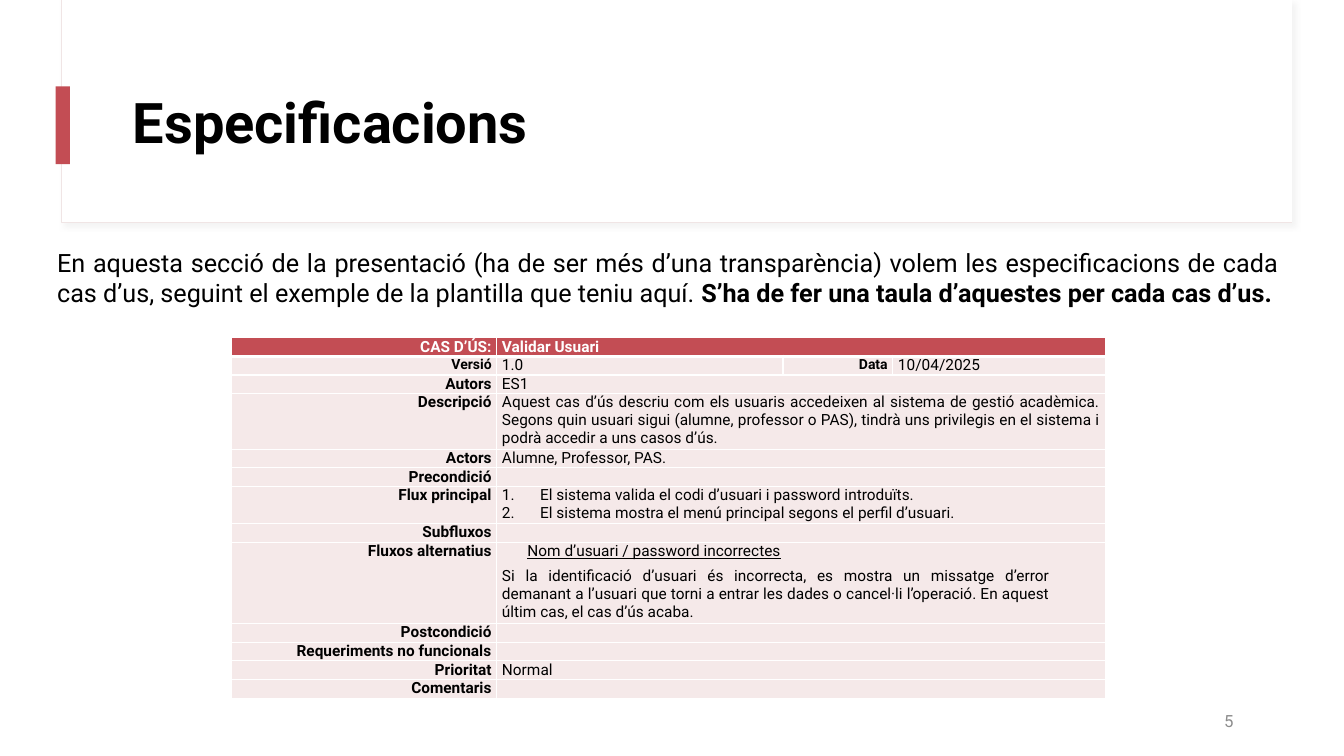
from lxml import etree
from pptx import Presentation
from pptx.dml.color import RGBColor
from pptx.enum.shapes import MSO_SHAPE
from pptx.enum.text import MSO_ANCHOR, PP_ALIGN
from pptx.oxml.ns import qn
from pptx.util import Cm, Pt

LEFT, RIGHT, JUSTIFY = PP_ALIGN.LEFT, PP_ALIGN.RIGHT, PP_ALIGN.JUSTIFY
TOP, MIDDLE = MSO_ANCHOR.TOP, MSO_ANCHOR.MIDDLE
RECTANGLE = MSO_SHAPE.RECTANGLE

FONT = "Roboto"
COLORS = {"white": "FFFFFF", "black": "000000", "accent": "C34D54", "pale": "F5E9E9",
          "edge": "F0E5E5", "shadow": "D9D9D9", "number": "8C8C8C"}

PANELS = [
    {"place": (1.55, 0, 31.01, 5.61), "fill": "white", "line": "edge", "shadow": True},
    {"place": (1.57, 0, 30.99, 5.59), "fill": "white"},
    {"place": (1.4, 2.18, 0.36, 1.96), "fill": "accent"},
]
INTRO = ("En aquesta secció de la presentació (ha de ser més d’una transparència) volem les "
         "especificacions de cada cas d’us, seguint el exemple de la plantilla que teniu aquí. ")
REMINDER = "S’ha de fer una taula d’aquestes per cada cas d’us."
TEXTS = [
    {"place": (3.1, 1.52, 28.24, 3.28), "anchor": MIDDLE, "format": {"line_spacing": 0.9},
     "spans": [("Especificacions", {"size": Pt(40), "bold": True})]},
    {"place": (23.72, 17.65, 7.62, 1.02), "anchor": MIDDLE, "format": {"alignment": RIGHT},
     "spans": [("5", {"size": Pt(12), "color": "number"})]},
    {"place": (1.19, 6.1, 31.29, 4.88), "anchor": TOP, "format": {"alignment": JUSTIFY},
     "spans": [(INTRO, {"size": Pt(18)}), (REMINDER, {"size": Pt(18), "bold": True})]},
]

TABLE_LEFT, TABLE_TOP = 5.84, 8.51
COLUMN_WIDTHS = [6.68, 7.21, 2.77, 5.36]
ROW_HEIGHT = 0.47
TALL_ROWS = {"Descripció": 1.4, "Flux principal": 0.93, "Fluxos alternatius": 2.05}
DESCRIPTION = ("Aquest cas d’ús descriu com els usuaris accedeixen al sistema de gestió acadèmica. "
               "Segons quin usuari sigui (alumne, professor o PAS), tindrà uns privilegis en el "
               "sistema i podrà accedir a uns casos d’ús.")
ALTERNATIVE = ("Si la identificació d’usuari és incorrecta, es mostra un missatge d’error demanant "
               "a l’usuari que torni a entrar les dades o cancel·li l’operació. En aquest últim "
               "cas, el cas d’ús acaba.")
USE_CASE = [
    ("CAS D’ÚS:", [("Validar Usuari", "plain")]),
    ("Versió", [("1.0", "plain")], "Data", [("10/04/2025", "plain")]),
    ("Autors", [("ES1", "plain")]),
    ("Descripció", [(DESCRIPTION, "justified")]),
    ("Actors", [("Alumne, Professor, PAS.", "plain")]),
    ("Precondició", []),
    ("Flux principal", [
        ("El sistema valida el codi d’usuari i password introduïts.", "numbered"),
        ("El sistema mostra el menú principal segons el perfil d’usuari.", "numbered")]),
    ("Subfluxos", []),
    ("Fluxos alternatius", [("Nom d’usuari / password incorrectes", "heading"),
                            (ALTERNATIVE, "narrow")]),
    ("Postcondició", []),
    ("Requeriments no funcionals", []),
    ("Prioritat", [("Normal", "plain")]),
    ("Comentaris", []),
]
SMALL_LABELS = ("Versió", "Data")
PARAGRAPH_FORMATS = {
    "label": {"alignment": RIGHT},
    "plain": {"alignment": LEFT},
    "justified": {"alignment": JUSTIFY},
    "numbered": {"alignment": JUSTIFY},
    "heading": {"alignment": LEFT, "space_before": Pt(5), "space_after": Pt(5)},
    "narrow": {"alignment": JUSTIFY},
}
INDENTS = {
    "numbered": {"marL": Cm(0.96), "indent": Cm(-0.96)},
    "heading": {"marL": Cm(0.64)},
    "narrow": {"marR": Cm(1.27)},
}


def add_element(parent, tag, **attributes):
    return etree.SubElement(parent, qn(tag), {key: str(value) for key, value in attributes.items()})


def set_all(target, values):
    for name, value in values.items():
        setattr(target, name, value)


def rgb(name):
    return RGBColor.from_string(COLORS[name])


def add_span(para, text, color="black", **values):
    span = para.add_run()
    span.text = text
    set_all(span.font, {"name": FONT, **values})
    span.font.color.rgb = rgb(color)


def add_panel(page, panel):
    shape = page.shapes.add_shape(RECTANGLE, *map(Cm, panel["place"]))
    shape.shadow.inherit = False
    shape.fill.solid()
    shape.fill.fore_color.rgb = rgb(panel["fill"])
    if "line" in panel:
        shape.line.color.rgb = rgb(panel["line"])
        shape.line.width = Pt(0.75)
    else:
        shape.line.fill.background()
    if panel.get("shadow"):
        effects = shape.element.spPr.find(qn("a:effectLst"))
        shadow = add_element(effects, "a:outerShdw", blurRad=Pt(4), dist=Pt(3), dir=2700000)
        tint = add_element(shadow, "a:srgbClr", val=COLORS["shadow"])
        add_element(tint, "a:alpha", val=30000)


def add_text(page, item):
    box = page.shapes.add_textbox(*map(Cm, item["place"]))
    set_all(box.text_frame, {"word_wrap": True, "vertical_anchor": item["anchor"]})
    para = box.text_frame.paragraphs[0]
    set_all(para, item["format"])
    for text, values in item["spans"]:
        add_span(para, text, **values)


def style_cell(cell, is_header):
    set_all(cell, {"margin_left": Cm(0.13), "margin_right": Cm(0.13),
                   "margin_top": 0, "margin_bottom": 0})
    properties = cell._tc.get_or_add_tcPr()
    for side in "LRTB":
        width = 3 if is_header and side == "B" else 1
        border = add_element(properties, f"a:ln{side}", w=Pt(width))
        add_element(add_element(border, "a:solidFill"), "a:srgbClr", val=COLORS["white"])
    cell.fill.solid()
    cell.fill.fore_color.rgb = rgb("accent" if is_header else "pale")


def fill_cell(cell, paragraphs, is_header):
    for index, (text, kind) in enumerate(paragraphs):
        frame = cell.text_frame
        para = frame.add_paragraph() if index else frame.paragraphs[0]
        set_all(para, PARAGRAPH_FORMATS[kind])
        properties = para._p.get_or_add_pPr()
        for name, value in INDENTS.get(kind, {}).items():
            properties.set(name, str(value))
        if kind == "numbered":
            add_element(properties, "a:buAutoNum", type="arabicPeriod")
        add_span(para, text, "white" if is_header else "black",
                 size=Pt(10 if text in SMALL_LABELS else 11),
                 bold=is_header or kind == "label", underline=kind == "heading")
    if not paragraphs:
        add_element(cell.text_frame.paragraphs[0]._p, "a:endParaRPr", sz=1100)


def add_use_case(page):
    heights = [TALL_ROWS.get(row[0], ROW_HEIGHT) for row in USE_CASE]
    table = page.shapes.add_table(
        len(USE_CASE), len(COLUMN_WIDTHS), Cm(TABLE_LEFT), Cm(TABLE_TOP),
        Cm(sum(COLUMN_WIDTHS)), Cm(sum(heights))).table
    for column, width in zip(table.columns, COLUMN_WIDTHS):
        column.width = Cm(width)
    for index, (content, height) in enumerate(zip(USE_CASE, heights)):
        table.rows[index].height = Cm(height)
        for position in range(len(COLUMN_WIDTHS)):
            cell = table.cell(index, position)
            value = content[position] if position < len(content) else []
            paragraphs = [(value, "label")] if isinstance(value, str) else value
            style_cell(cell, index == 0)
            fill_cell(cell, paragraphs, index == 0)
        if len(content) == 2:
            table.cell(index, 1).merge(table.cell(index, len(COLUMN_WIDTHS) - 1))


def main():
    """Build the use case specification slide."""
    deck = Presentation()
    set_all(deck, {"slide_width": Cm(33.87), "slide_height": Cm(19.05)})
    page = deck.slides.add_slide(deck.slide_layouts[6])
    for panel in PANELS:
        add_panel(page, panel)
    for item in TEXTS:
        add_text(page, item)
    add_use_case(page)
    deck.save("out.pptx")


if __name__ == "__main__":
    main()
